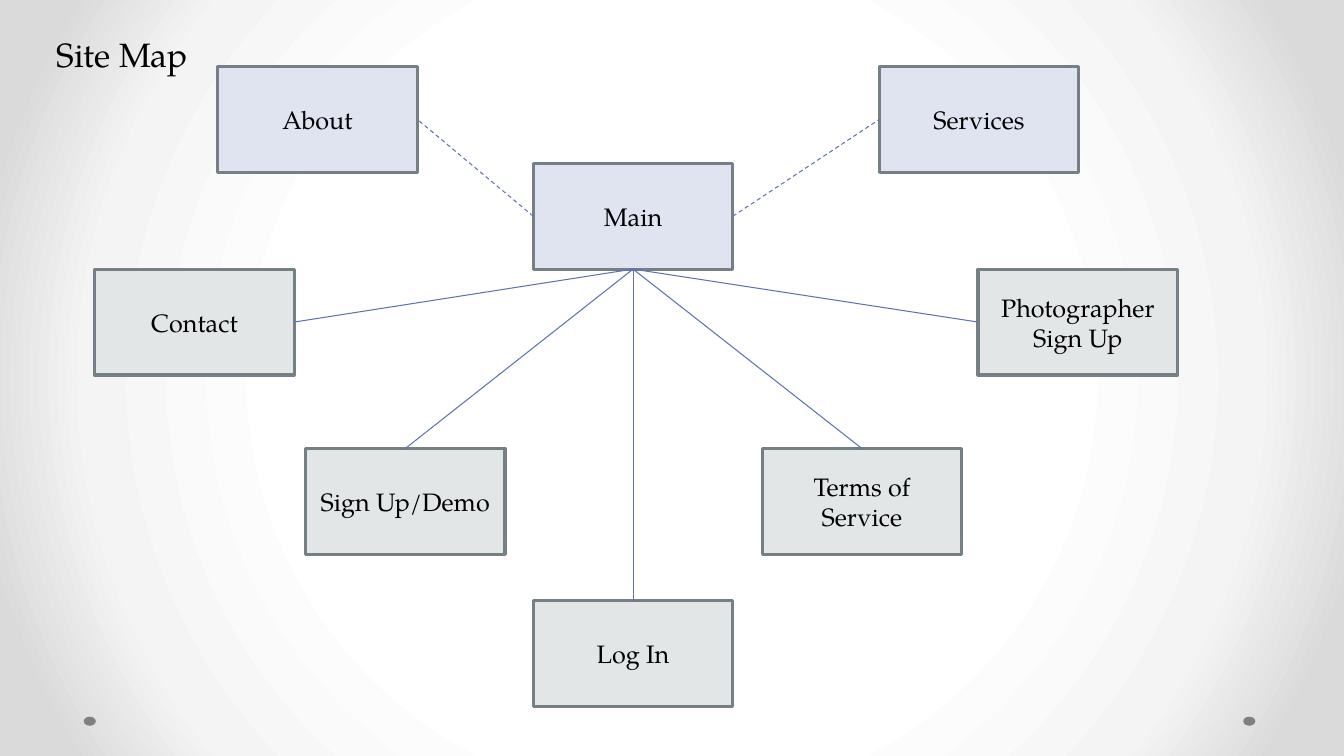
from pptx import Presentation
from pptx.dml.color import RGBColor
from pptx.enum.dml import MSO_LINE_DASH_STYLE as Dash
from pptx.enum.shapes import MSO_CONNECTOR as Connector, MSO_SHAPE as Shape
from pptx.enum.text import MSO_ANCHOR as Anchor, MSO_AUTO_SIZE as AutoSize, PP_ALIGN as Align
from pptx.oxml import parse_xml
from pptx.oxml.ns import nsdecls
from pptx.util import Inches, Pt

FONT = "TeX Gyre Pagella"
BOX_WIDTH, BOX_HEIGHT = 14.85, 14
TOP, LEFT, BOTTOM, RIGHT = range(4)
PRIMARY, SECONDARY = "DFE4F0", "E3E6E7"

PAGES = [
    ("Main", 39.68, 21.6, PRIMARY),
    ("Contact", 7.05, 35.6, SECONDARY),
    ("Sign Up/Demo", 22.73, 59.33, SECONDARY),
    ("About", 16.2, 8.8, PRIMARY),
    ("Photographer Sign Up", 72.77, 35.6, SECONDARY),
    ("Terms of Service", 56.71, 59.33, SECONDARY),
    ("Log In", 39.68, 79.47, SECONDARY),
    ("Services", 65.42, 8.8, PRIMARY),
]
LINKS = [
    ("About", LEFT, RIGHT, True),
    ("Services", RIGHT, LEFT, True),
    ("Contact", BOTTOM, RIGHT, False),
    ("Sign Up/Demo", BOTTOM, TOP, False),
    ("Log In", BOTTOM, TOP, False),
    ("Terms of Service", BOTTOM, TOP, False),
    ("Photographer Sign Up", BOTTOM, LEFT, False),
]


def color(value):
    return RGBColor.from_string(value)


class SiteMap:
    def __init__(self, presentation):
        self.column = presentation.slide_width / 100
        self.row = presentation.slide_height / 100
        self.slide = presentation.slides.add_slide(presentation.slide_layouts[5])

    def frame(self, left, top, width, height):
        return (round(left * self.column), round(top * self.row),
                round(width * self.column), round(height * self.row))

    def background(self, stops):
        fill = self.slide.background.fill
        fill.solid()
        properties = fill._xPr
        properties.remove(properties[0])
        stop_list = "".join(
            f'<a:gs pos="{position * 1000}"><a:srgbClr val="{value}"/></a:gs>'
            for position, value in stops)
        properties.insert(0, parse_xml(
            f'<a:gradFill {nsdecls("a")} rotWithShape="1"><a:gsLst>{stop_list}</a:gsLst>'
            '<a:path path="circle"><a:fillToRect l="50000" t="50000" r="50000" b="50000"/>'
            '</a:path></a:gradFill>'))

    def label(self, shape, text, size, align, anchor):
        text_frame = shape.text_frame
        text_frame.text = text
        text_frame.word_wrap = True
        text_frame.vertical_anchor = anchor
        paragraph = text_frame.paragraphs[0]
        paragraph.alignment = align
        font = paragraph.runs[0].font
        font.name, font.size = FONT, Pt(size)
        font.color.rgb = color("000000")

    def title(self, text, left, top, width, height):
        shape = self.slide.shapes.title
        shape.left, shape.top, shape.width, shape.height = self.frame(left, top, width, height)
        self.label(shape, text, 24, Align.LEFT, Anchor.TOP)
        shape.text_frame.auto_size = AutoSize.SHAPE_TO_FIT_TEXT

    def shape(self, kind, fill, *place):
        shape = self.slide.shapes.add_shape(kind, *self.frame(*place))
        shape.shadow.inherit = False
        shape.fill.solid()
        shape.fill.fore_color.rgb = color(fill)
        return shape

    def dot(self, left, top):
        self.shape(Shape.OVAL, "808080", left, top, 0.9, 1.2).line.fill.background()

    def box(self, text, left, top, fill):
        shape = self.shape(Shape.RECTANGLE, fill, left, top, BOX_WIDTH, BOX_HEIGHT)
        shape.line.color.rgb = color("758085")
        shape.line.width = Pt(2.25)
        self.label(shape, text, 18, Align.CENTER, Anchor.MIDDLE)
        return shape

    def link(self, start, start_side, end, end_side, dashed):
        connector = self.slide.shapes.add_connector(Connector.STRAIGHT, 0, 0, 0, 0)
        connector.begin_connect(start, start_side)
        connector.end_connect(end, end_side)
        connector.line.color.rgb = color("5C72B2")
        connector.line.width = Pt(0.75)
        if dashed:
            connector.line.dash_style = Dash.DASH
        connector._element.spPr.append(parse_xml(f'<a:effectLst {nsdecls("a")}/>'))


def main():
    presentation = Presentation()
    presentation.slide_width, presentation.slide_height = Inches(13.33), Inches(7.5)
    site_map = SiteMap(presentation)
    site_map.background([(50, "FFFFFF"), (76, "F4F4F4"), (92, "DADADA")])
    for left in (92.5, 6.23):
        site_map.dot(left, 94.8)
    boxes = {page[0]: site_map.box(*page) for page in PAGES}
    for name, main_side, page_side, dashed in LINKS:
        site_map.link(boxes["Main"], main_side, boxes[name], page_side, dashed)
    site_map.title("Site Map", 3.45, 3.87, 13.2, 6.67)
    presentation.save("out.pptx")


if __name__ == "__main__":
    main()
